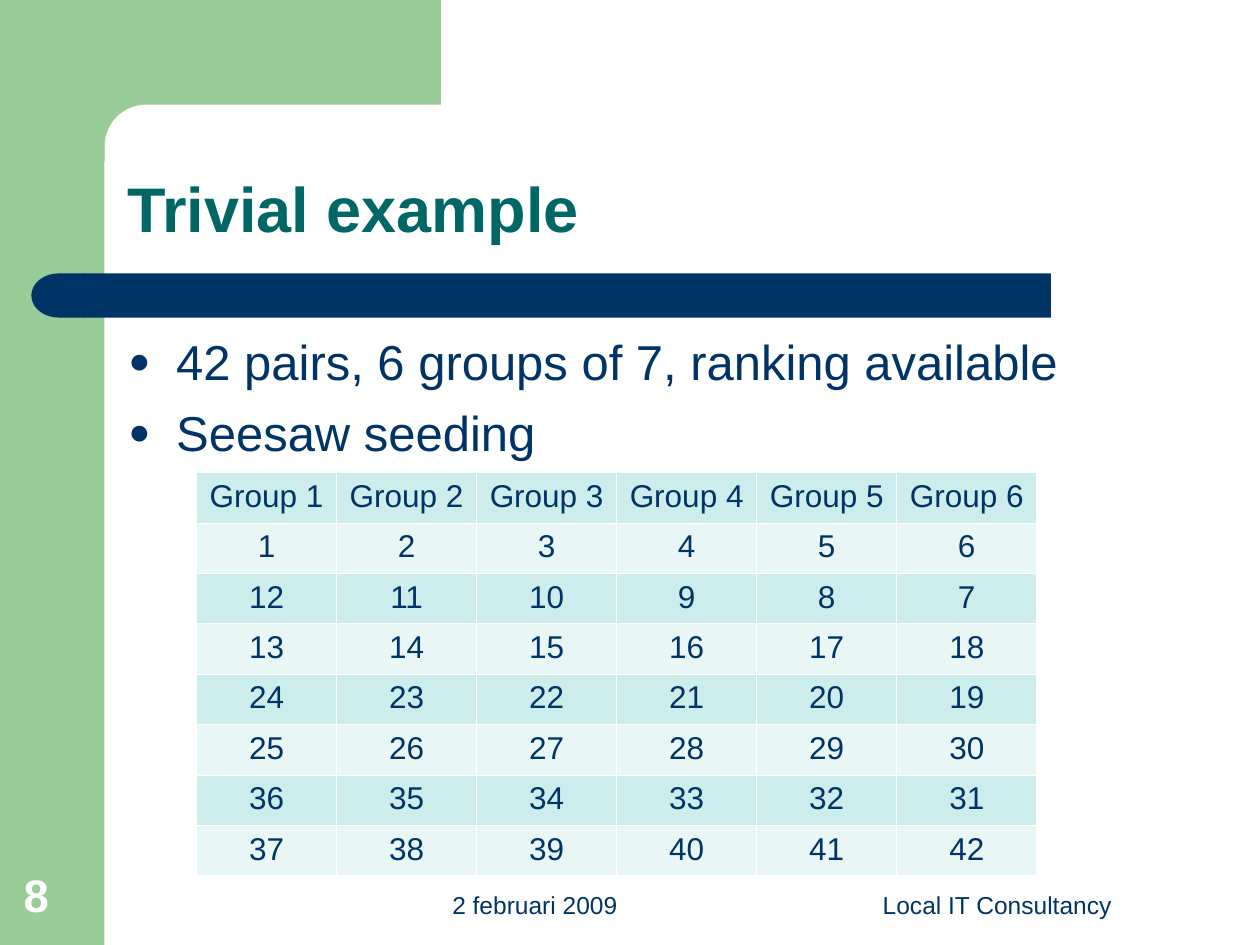
from dataclasses import dataclass
from math import cos, pi, sin

from lxml.etree import SubElement
from pptx import Presentation
from pptx.dml.color import RGBColor as Color
from pptx.enum.shapes import MSO_SHAPE as Preset
from pptx.enum.text import MSO_ANCHOR as Anchor, MSO_AUTO_SIZE as AutoSize, PP_ALIGN as Align
from pptx.oxml.ns import qn
from pptx.util import Inches, Pt


@dataclass(frozen=True)
class Theme:
    font: str = "Arial"
    green: str = "99CC99"
    navy: str = "003366"
    teal: str = "006666"
    white: str = "FFFFFF"
    band_dark: str = "CDECEC"
    band_light: str = "E8F6F6"
    title_size: int = 36
    body_size: int = 28
    number_size: int = 26
    table_size: int = 18
    footer_size: int = 14
    border_width: float = 0.45


THEME = Theme()


@dataclass(frozen=True)
class Box:
    left: float
    top: float
    width: float
    height: float

    def lengths(self) -> tuple:
        return tuple(Inches(value) for value in (self.left, self.top, self.width, self.height))


@dataclass(frozen=True)
class TextStyle:
    size: int
    color: str = THEME.navy
    bold: bool = False
    align: Align = Align.LEFT


@dataclass(frozen=True)
class Label:
    box: Box
    text: str
    style: TextStyle


TITLE = Label(Box(0.91, 0.91, 8.51, 1.09), "Trivial example",
              TextStyle(THEME.title_size, THEME.teal, bold=True))
BULLET_BOX = Box(0.92, 2.58, 8.41, 4.07)
BULLETS = ("42 pairs, 6 groups of 7, ranking available", "Seesaw seeding")
FOOTERS = (
    Label(Box(2.67, 6.83, 2.33, 0.52), "2 februari 2009",
          TextStyle(THEME.footer_size, align=Align.RIGHT)),
    Label(Box(6.33, 6.83, 3.17, 0.52), "Local IT Consultancy",
          TextStyle(THEME.footer_size, align=Align.CENTER)),
    Label(Box(0.09, 6.83, 0.64, 0.53), "8",
          TextStyle(THEME.number_size, THEME.white, bold=True)),
)
TABLE_BOX = Box(1.56, 3.75, 6.67, 3.2)
GROUPS, ROUNDS = 6, 7


def paint(shape, color: str) -> None:
    shape.shadow.inherit = False
    shape.fill.solid()
    shape.fill.fore_color.rgb = Color.from_string(color)
    shape.line.fill.background()


def add_preset(slide, preset: Preset, box: Box, color: str):
    shape = slide.shapes.add_shape(preset, *box.lengths())
    paint(shape, color)
    return shape


def write(paragraph, text: str, style: TextStyle) -> None:
    paragraph.alignment = style.align
    run = paragraph.add_run()
    run.text = text
    formats = {"name": THEME.font, "size": Pt(style.size), "bold": style.bold}
    for name, value in formats.items():
        setattr(run.font, name, value)
    run.font.color.rgb = Color.from_string(style.color)


def prepare_frame(shape, anchor: Anchor):
    frame = shape.text_frame
    formats = {
        "word_wrap": True, "auto_size": AutoSize.NONE, "vertical_anchor": anchor,
        "margin_left": Inches(0.1), "margin_right": Inches(0.1),
        "margin_top": Inches(0.05), "margin_bottom": Inches(0.05),
    }
    for name, value in formats.items():
        setattr(frame, name, value)
    return frame


def add_corner(slide) -> None:
    """Draw the green block whose inner corner is a rounded quarter circle."""
    center, radius, steps = 1.16, 0.33, 16
    angles = [pi / 2 * step / steps for step in range(steps + 1)]
    arc = [(center - radius * sin(angle), center - radius * cos(angle)) for angle in angles]
    outline = [(3.5, 0.83), *arc, (0.83, 1.28), (0.5, 1.28), (0.5, 0)]
    builder = slide.shapes.build_freeform(Inches(3.5), 0)
    builder.add_line_segments([(Inches(x), Inches(y)) for x, y in outline], close=True)
    paint(builder.convert_to_shape(), THEME.green)


def add_decoration(slide) -> None:
    add_preset(slide, Preset.RECTANGLE, Box(0, 0, 0.83, 7.5), THEME.green)
    add_corner(slide)
    bar = add_preset(slide, Preset.ROUNDED_RECTANGLE, Box(0.67, 2.17, 7.67, 0.35), THEME.navy)
    bar.adjustments[0] = 0
    cap = add_preset(slide, Preset.FLOWCHART_DELAY, Box(0.25, 2.17, 0.43, 0.35), THEME.navy)
    cap.element.find(".//" + qn("a:xfrm")).set("flipH", "1")


def place_title(slide) -> None:
    title = slide.shapes.title
    slide.shapes.element.append(title.element)  # in front of the decoration
    for name, value in zip(("left", "top", "width", "height"), TITLE.box.lengths()):
        setattr(title, name, value)
    paragraph = prepare_frame(title, Anchor.BOTTOM).paragraphs[0]
    paragraph.line_spacing = 0.9
    write(paragraph, TITLE.text, TITLE.style)


def add_label(slide, label: Label) -> None:
    shape = slide.shapes.add_textbox(*label.box.lengths())
    write(prepare_frame(shape, Anchor.BOTTOM).paragraphs[0], label.text, label.style)


def set_bullet(paragraph) -> None:
    properties = paragraph._p.get_or_add_pPr()
    properties.set("marL", str(Inches(0.38)))
    properties.set("indent", str(-Inches(0.38)))
    color = SubElement(properties, qn("a:buClr"))
    SubElement(color, qn("a:srgbClr"), val=THEME.navy)
    SubElement(properties, qn("a:buSzPct"), val="75000")
    SubElement(properties, qn("a:buFont"), typeface=THEME.font)
    SubElement(properties, qn("a:buChar"), char="●")


def add_bullets(slide) -> None:
    frame = prepare_frame(slide.shapes.add_textbox(*BULLET_BOX.lengths()), Anchor.TOP)
    for index, text in enumerate(BULLETS):
        paragraph = frame.add_paragraph() if index else frame.paragraphs[0]
        paragraph.space_before = Pt(7)
        set_bullet(paragraph)
        write(paragraph, text, TextStyle(THEME.body_size))


def set_borders(cell) -> None:
    properties = cell._tc.get_or_add_tcPr()
    for index, side in enumerate(("lnL", "lnR", "lnT", "lnB")):
        line = SubElement(properties, qn(f"a:{side}"), w=str(Pt(THEME.border_width)))
        fill = SubElement(line, qn("a:solidFill"))
        SubElement(fill, qn("a:srgbClr"), val=THEME.white)
        properties.insert(index, line)


def seesaw_rows() -> list[list[str]]:
    """Rank the pairs left to right, then right to left, under a header row."""
    rows = [[f"Group {group + 1}" for group in range(GROUPS)]]
    for turn in range(ROUNDS):
        ranks = [str(turn * GROUPS + place + 1) for place in range(GROUPS)]
        rows.append(ranks[::-1] if turn % 2 else ranks)
    return rows


def add_seeding_table(slide) -> None:
    rows = seesaw_rows()
    table = slide.shapes.add_table(len(rows), GROUPS, *TABLE_BOX.lengths()).table
    table.first_row = table.horz_banding = False
    style = TextStyle(THEME.table_size, align=Align.CENTER)
    for row_index, row in enumerate(rows):
        band = THEME.band_light if row_index % 2 else THEME.band_dark
        for column_index, text in enumerate(row):
            cell = table.cell(row_index, column_index)
            cell.fill.solid()
            cell.fill.fore_color.rgb = Color.from_string(band)
            set_borders(cell)
            write(cell.text_frame.paragraphs[0], text, style)


def main() -> None:
    presentation = Presentation()
    presentation.slide_width, presentation.slide_height = Inches(10), Inches(7.5)
    slide = presentation.slides.add_slide(presentation.slide_layouts[5])
    add_decoration(slide)
    place_title(slide)
    add_bullets(slide)
    for label in FOOTERS:
        add_label(slide, label)
    add_seeding_table(slide)
    presentation.save("out.pptx")


if __name__ == "__main__":
    main()
